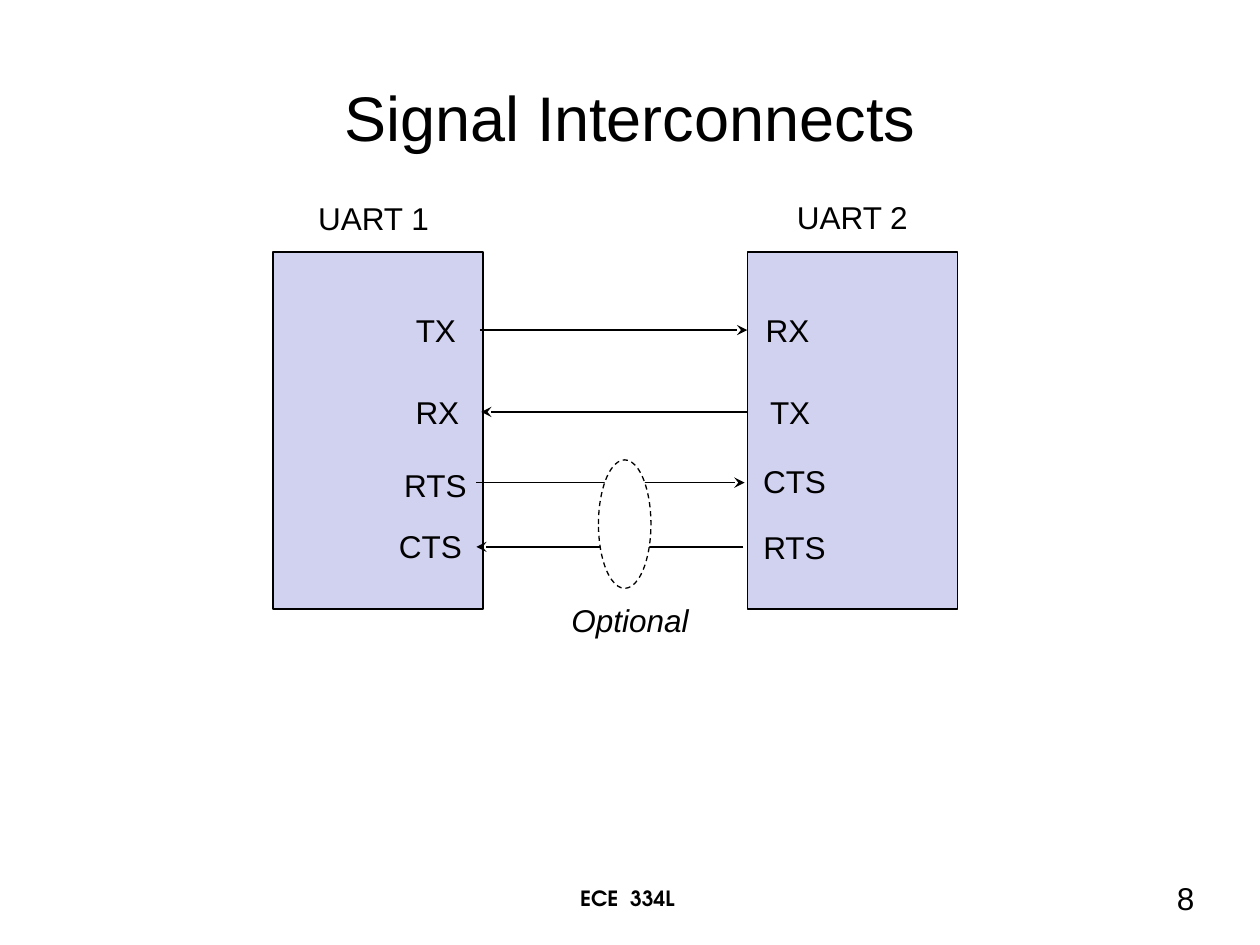
"""Build the Signal Interconnects slide showing two linked UARTs."""
from lxml.etree import SubElement
from pptx import Presentation
from pptx.dml.color import RGBColor
from pptx.enum.dml import MSO_LINE
from pptx.enum.shapes import MSO_CONNECTOR, MSO_SHAPE
from pptx.enum.text import MSO_ANCHOR, PP_ALIGN
from pptx.oxml.ns import qn
from pptx.util import Pt

BLACK = RGBColor(0x00, 0x00, 0x00)
WHITE = RGBColor(0xFF, 0xFF, 0xFF)
LAVENDER = RGBColor(0xD1, 0xD1, 0xF0)


def write_text(shape, text, size=18, font="Arial", bold=False, italic=False, wrap=True):
    frame = shape.text_frame
    frame.word_wrap = wrap
    paragraph = frame.paragraphs[0]
    paragraph.alignment = PP_ALIGN.CENTER
    run = paragraph.add_run()
    run.text = text
    run.font.size = Pt(size)
    run.font.name = font
    run.font.bold = bold
    run.font.italic = italic
    run.font.color.rgb = BLACK


class Diagram:
    def __init__(self, slide, line_color=BLACK, line_width=0.75):
        self.slide = slide
        self.line_color = line_color
        self.line_width = line_width

    def style_line(self, line):
        line.color.rgb = self.line_color
        line.width = Pt(self.line_width)

    def title(self, text, left, top, width, height):
        shape = self.slide.shapes.title
        shape.left, shape.top = Pt(left), Pt(top)
        shape.width, shape.height = Pt(width), Pt(height)
        shape.text_frame.vertical_anchor = MSO_ANCHOR.MIDDLE
        write_text(shape, text, size=36)

    def label(self, text, left, top, width, height=29, **text_format):
        shape = self.slide.shapes.add_textbox(Pt(left), Pt(top), Pt(width), Pt(height))
        write_text(shape, text, **text_format)

    def shape(self, kind, left, top, width, height, fill, dash=None):
        shape = self.slide.shapes.add_shape(kind, Pt(left), Pt(top), Pt(width), Pt(height))
        shape.shadow.inherit = False
        shape.fill.solid()
        shape.fill.fore_color.rgb = fill
        self.style_line(shape.line)
        if dash:
            shape.line.dash_style = dash

    def arrow(self, start, end, y):
        connector = self.slide.shapes.add_connector(
            MSO_CONNECTOR.STRAIGHT, Pt(start), Pt(y), Pt(end), Pt(y))
        self.style_line(connector.line)
        SubElement(connector.line._get_or_add_ln(), qn("a:tailEnd"), type="stealth")
        SubElement(connector._element.spPr, qn("a:effectLst"))


def main():
    presentation = Presentation()
    presentation.slide_width, presentation.slide_height = Pt(720), Pt(540)
    diagram = Diagram(presentation.slides.add_slide(presentation.slide_layouts[5]))

    diagram.title("Signal Interconnects", 36, 21.6, 648, 90)
    uarts = [("UART 1", 156, 174.2, 110.2), ("UART 2", 427, 447.8, 109.6)]
    for name, left, label_left, label_top in uarts:
        diagram.shape(MSO_SHAPE.RECTANGLE, left, 144, 120, 204, LAVENDER)
        diagram.label(name, label_left, label_top, 78.5, wrap=False)

    pins = [
        ("TX", 224.6, 174.2, 49), ("RX", 425.5, 174.2, 49),
        ("RX", 225.4, 221, 49), ("TX", 427, 221, 49),
        ("RTS", 221.8, 262.8, 54), ("CTS", 427, 260.6, 54),
        ("CTS", 218.9, 297.4, 54), ("RTS", 427, 298.1, 54),
    ]
    for name, left, top, width in pins:
        diagram.label(name, left, top, width)

    arrows = [(274.3, 427, 188.6), (427, 275, 235.4), (272.2, 425.5, 275.8), (424.8, 272.2, 312.5)]
    for start, end, y in arrows:
        diagram.arrow(start, end, y)

    diagram.shape(MSO_SHAPE.OVAL, 342, 262.8, 30, 73.4, WHITE, dash=MSO_LINE.DASH)
    diagram.label("Optional", 310.3, 339.8, 99.4, italic=True)
    diagram.label("ECE  334L", 220.5, 502.6, 276, 21.6,
                  size=12, font="TeX Gyre Adventor", bold=True)
    diagram.label("8", 635, 499, 85)
    presentation.save("out.pptx")


if __name__ == "__main__":
    main()
